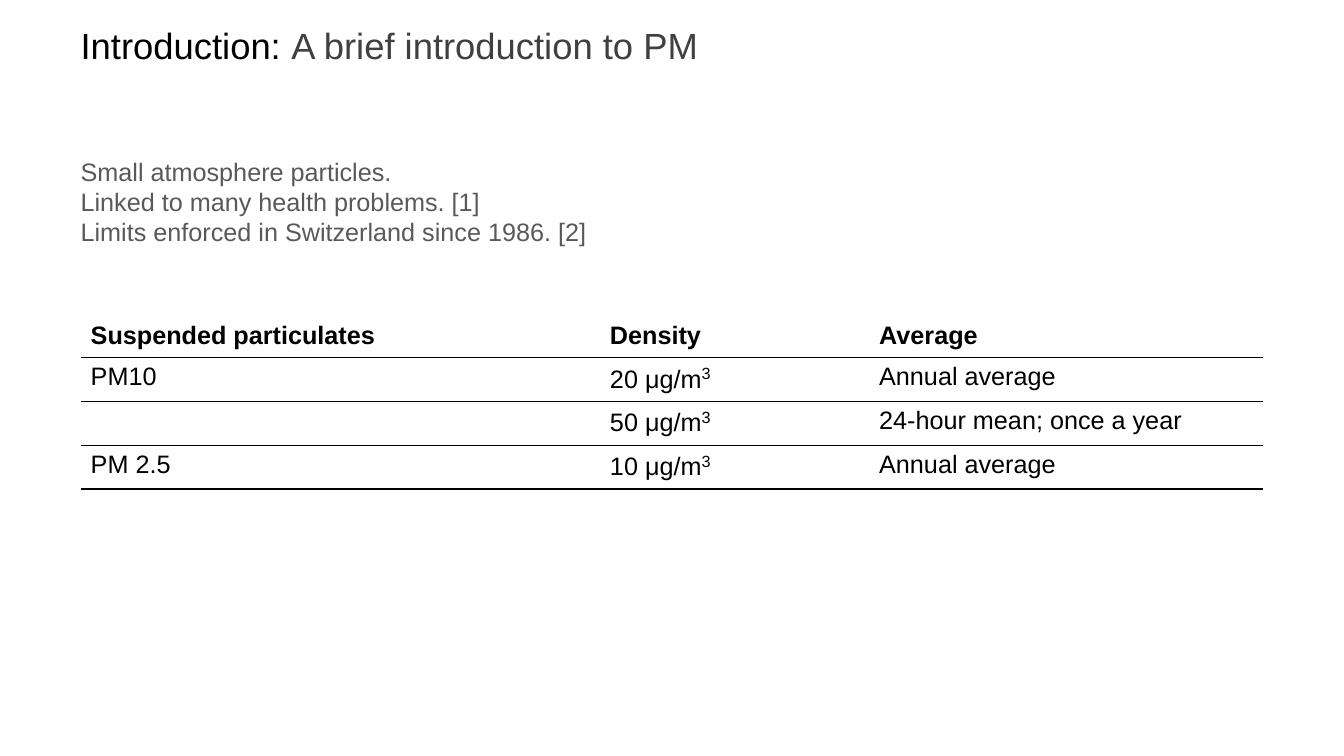
from lxml.etree import SubElement
from pptx import Presentation
from pptx.dml.color import RGBColor
from pptx.oxml.ns import qn
from pptx.util import Inches, Pt

COLORS = {"black": "000000", "subtitle": "404040", "body": "595959"}
FONT = "Arial"
TITLE = [("Introduction: ", "black"), ("A brief introduction to PM", "subtitle")]
FACTS = [
    "Small atmosphere particles.",
    "Linked to many health problems. [1]\vLimits enforced in Switzerland since 1986. [2]",
]
LIMITS = [
    ("Suspended particulates", "Density", "Average"),
    ("PM10", "20 μg/m³", "Annual average"),
    ("", "50 μg/m³", "24-hour mean; once a year"),
    ("PM 2.5", "10 μg/m³", "Annual average"),
]
LEFT, WIDTH = 0.8, 11.73
COLUMN_WIDTHS = [5.15, 2.67, 3.91]
TABLE_TOP, ROW_HEIGHT = 3.14, 0.41
# Line weights in points: above the header, then below each row
RULES = [0, 1, 0.5, 0.5, 1]


def style(span, size, color, bold=False):
    span.font.name = FONT
    span.font.size = Pt(size)
    span.font.bold = bold
    span.font.color.rgb = RGBColor.from_string(COLORS[color])


def add_box(page, top, height):
    box = page.shapes.add_textbox(Inches(LEFT), Inches(top), Inches(WIDTH), Inches(height))
    frame = box.text_frame
    frame.word_wrap = True
    frame.margin_left = frame.margin_right = frame.margin_top = frame.margin_bottom = 0
    return frame


def set_borders(cell, above, below):
    """Rule the cell above and below; a weight of 0 means no line."""
    properties = cell._tc.get_or_add_tcPr()
    for side, weight in (("lnL", 0), ("lnR", 0), ("lnT", above), ("lnB", below)):
        line = SubElement(properties, qn(f"a:{side}"), w=str(Pt(weight)))
        if weight:
            fill = SubElement(line, qn("a:solidFill"))
            SubElement(fill, qn("a:srgbClr"), val=COLORS["black"])
        else:
            SubElement(line, qn("a:noFill"))


def fill_cell(cell, text, bold):
    """Write the text, with a closing ³ set as a raised 3."""
    para = cell.text_frame.paragraphs[0]
    para.font.size = Pt(18)
    if not text:
        return
    span = para.add_run()
    span.text = text.removesuffix("³")
    style(span, 18, "black", bold)
    if text.endswith("³"):
        power = para.add_run()
        power.text = "3"
        style(power, 20, "black", bold)
        power._r.get_or_add_rPr().set("baseline", "30000")


def add_title(page):
    para = add_box(page, 0.28, 0.98).paragraphs[0]
    para.line_spacing = 0.9
    for text, color in TITLE:
        span = para.add_run()
        span.text = text
        style(span, 26, color)


def add_facts(page):
    frame = add_box(page, 1.55, 1.3)
    frame.text = "\n".join(FACTS)
    for para, text in zip(frame.paragraphs, FACTS):
        para.text = text
        for span in para.runs:
            style(span, 18, "body")
    frame.paragraphs[-1].space_after = Pt(12)


def add_limits(page):
    table = page.shapes.add_table(
        len(LIMITS), len(COLUMN_WIDTHS), Inches(LEFT), Inches(TABLE_TOP),
        Inches(WIDTH), Inches(ROW_HEIGHT * len(LIMITS))).table
    table.horz_banding = False
    for column, width in zip(table.columns, COLUMN_WIDTHS):
        column.width = Inches(width)
    for index, (row, texts) in enumerate(zip(table.rows, LIMITS)):
        row.height = Inches(ROW_HEIGHT)
        for cell, text in zip(row.cells, texts):
            set_borders(cell, RULES[index], RULES[index + 1])
            cell.fill.background()
            fill_cell(cell, text, bold=index == 0)


def main():
    deck = Presentation()
    deck.slide_width, deck.slide_height = Inches(13.33), Inches(7.5)
    page = deck.slides.add_slide(deck.slide_layouts[6])
    add_title(page)
    add_facts(page)
    add_limits(page)
    deck.save("out.pptx")


if __name__ == "__main__":
    main()
